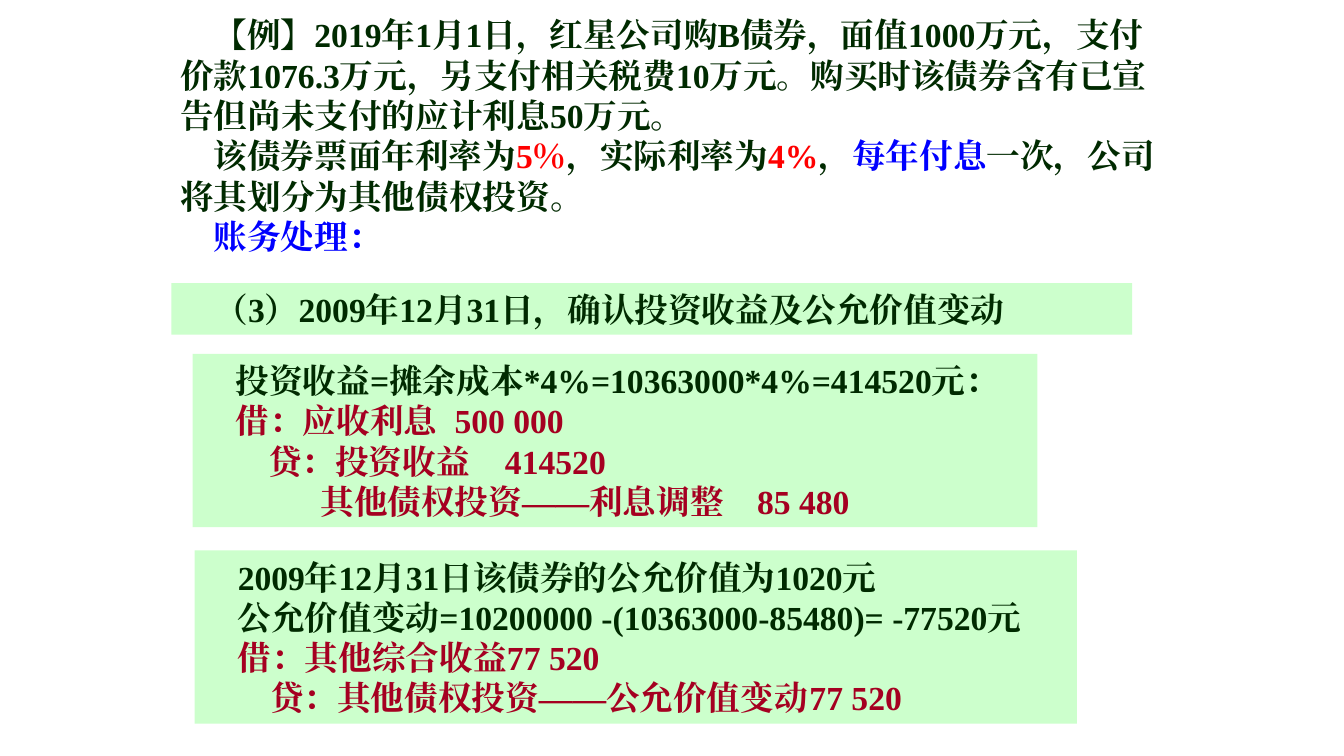
"""Build a slide on the journal entries of a bond investment."""
from lxml import etree
from pptx import Presentation
from pptx.dml.color import RGBColor
from pptx.enum import shapes, text
from pptx.oxml import ns
from pptx.util import Inches, Pt

FONT = "Times New Roman"
GREEN = RGBColor(0x00, 0x2A, 0x00)
PALE_GREEN = RGBColor(0xCC, 0xFF, 0xCC)
RED = RGBColor(0xFF, 0x00, 0x00)
BLUE = RGBColor(0x00, 0x00, 0xFF)
MAROON = RGBColor(0xA5, 0x00, 0x21)

BASE, CREDIT, DEEP = 0.33, 0.65, 1.17


def line(*runs, indent=BASE, tab=None):
    """Describe one paragraph: its runs, first-line indent and tab stop."""
    return runs, indent, tab


def entry(account, amount, tab, indent=BASE):
    """Describe one journal line with its amount at a tab stop."""
    return line((f"{account}\t{amount}", MAROON), indent=indent, tab=tab)


EXAMPLE = [
    line(("【例】2019年1月1日，红星公司购B债券，面值1000万元，支付价款1076.3万元，"
          "另支付相关税费10万元。购买时该债券含有已宣告但尚未支付的应计利息50万元。", GREEN)),
    line(("该债券票面年利率为", GREEN), ("5％", RED), ("，实际利率为", GREEN), ("4%", RED),
         ("，", GREEN), ("每年付息", BLUE), ("一次，公司将其划分为其他债权投资。", GREEN)),
    line(("账务处理：", BLUE)),
]
STEP = [line(("（3）2009年12月31日，确认投资收益及公允价值变动", GREEN))]
INCOME = [
    line(("投资收益=摊余成本*4%=10363000*4%=414520元：", GREEN)),
    entry("借：应收利息", "500 000", 3.4),
    entry("贷：投资收益", "414520", 3.77, CREDIT),
    entry("其他债权投资——利息调整", "85 480", 5.4, DEEP),
]
FAIR_VALUE = [
    line(("2009年12月31日该债券的公允价值为1020元", GREEN)),
    line(("公允价值变动=10200000 -(10363000-85480)= -77520元", GREEN)),
    entry("借：其他综合收益", "77 520", 3.24),
    entry("贷：其他债权投资——公允价值变动", "77 520", 6.2, CREDIT),
]
PANELS = [
    (STEP, (1.7, 2.81, 9.53, 0.51)),
    (INCOME, (1.91, 3.51, 8.38, 1.72)),
    (FAIR_VALUE, (1.93, 5.46, 8.75, 1.72)),
]
EXAMPLE_BOX = (1.69, 0.08, 9.98, 2.52)


def write(shape, lines):
    """Fill a shape with indented paragraphs."""
    frame = shape.text_frame
    frame.word_wrap = True
    frame.auto_size = text.MSO_AUTO_SIZE.SHAPE_TO_FIT_TEXT
    frame.vertical_anchor = text.MSO_ANCHOR.MIDDLE
    for number, (runs, indent, tab) in enumerate(lines):
        paragraph = frame.add_paragraph() if number else frame.paragraphs[0]
        paragraph.alignment = text.PP_ALIGN.LEFT
        properties = paragraph._p.get_or_add_pPr()
        properties.set("marL", "0")
        properties.set("indent", str(Inches(indent)))
        if tab:
            stops = etree.SubElement(properties, ns.qn("a:tabLst"))
            etree.SubElement(stops, ns.qn("a:tab"), pos=str(Inches(tab)), algn="l")
        for words, color in runs:
            run = paragraph.add_run()
            run.text = words
            run.font.name = FONT
            run.font.size = Pt(24)
            run.font.bold = True
            run.font.color.rgb = color
            etree.SubElement(run._r.get_or_add_rPr(), ns.qn("a:ea"), typeface=FONT)


def add_panel(slide, lines, box):
    """Add a pale green panel with its text."""
    panel = slide.shapes.add_shape(shapes.MSO_SHAPE.RECTANGLE, *map(Inches, box))
    panel.shadow.inherit = False
    panel.fill.solid()
    panel.fill.fore_color.rgb = PALE_GREEN
    panel.line.fill.background()
    write(panel, lines)


def main():
    """Build and save the presentation."""
    presentation = Presentation()
    presentation.slide_width = Inches(13.33)
    presentation.slide_height = Inches(7.5)
    slide = presentation.slides.add_slide(presentation.slide_layouts[6])
    for lines, box in PANELS:
        add_panel(slide, lines, box)
    write(slide.shapes.add_textbox(*map(Inches, EXAMPLE_BOX)), EXAMPLE)
    presentation.save("out.pptx")


if __name__ == "__main__":
    main()
